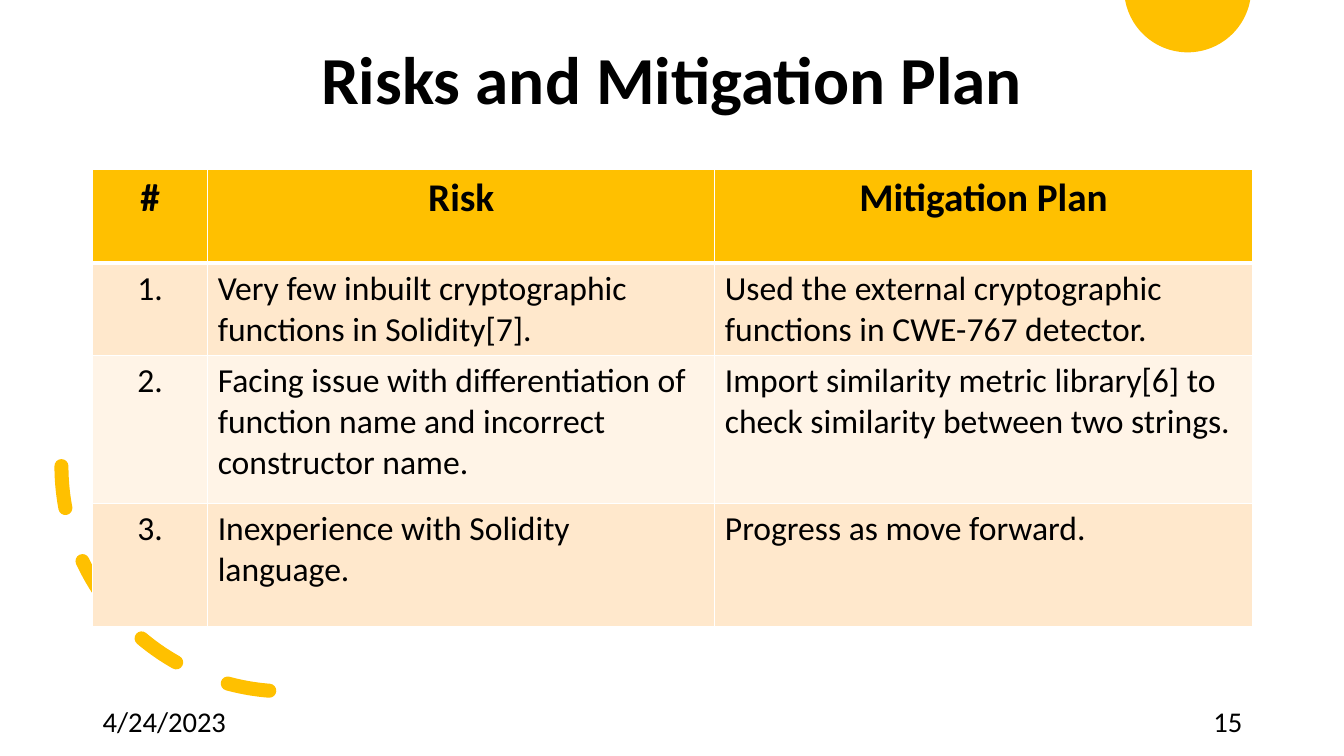
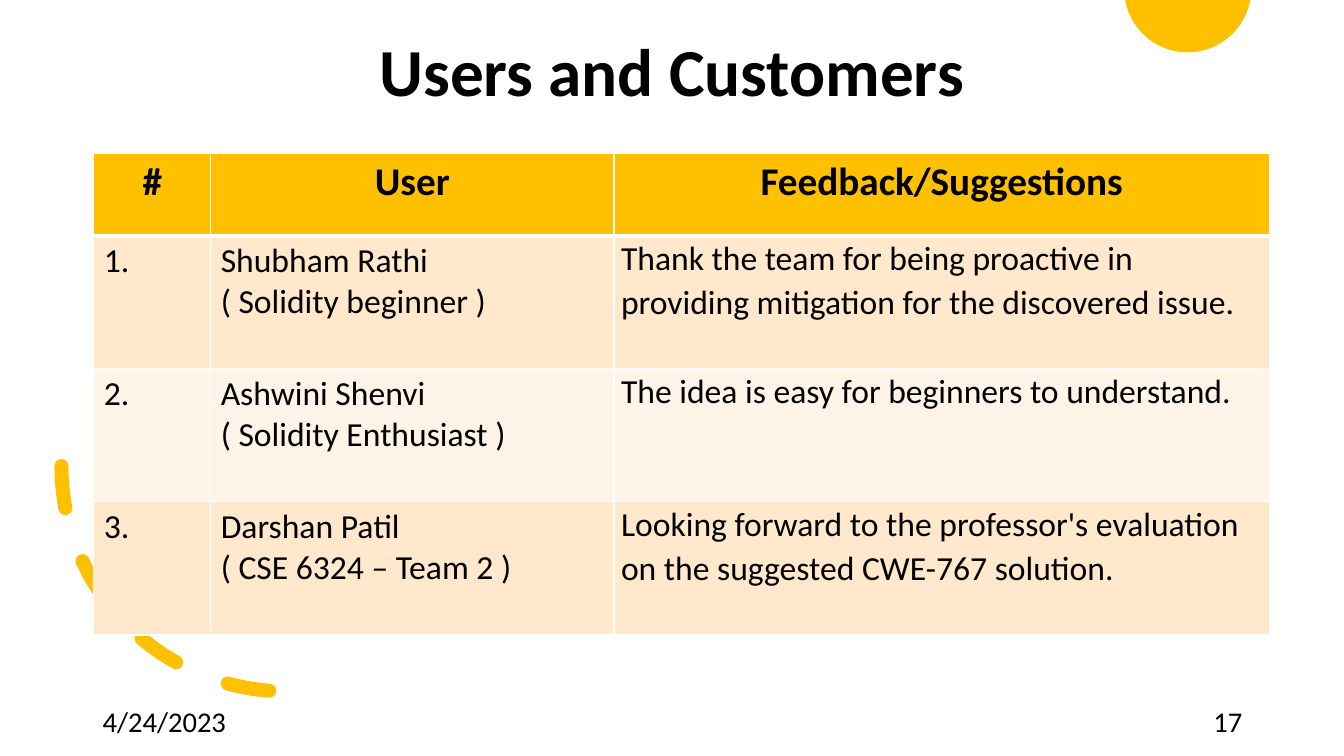
from math import cos, radians, sin

from lxml.etree import SubElement
from pptx import Presentation
from pptx.dml.color import RGBColor
from pptx.enum.dml import MSO_LINE
from pptx.enum.shapes import MSO_SHAPE
from pptx.enum.text import MSO_ANCHOR, PP_ALIGN
from pptx.oxml.ns import qn
from pptx.util import Inches, Pt

GOLD = RGBColor(0xFF, 0xC0, 0x00)
PEACH = RGBColor(0xFF, 0xE8, 0xCC)
CREAM = RGBColor(0xFF, 0xF4, 0xE7)
WHITE = RGBColor(0xFF, 0xFF, 0xFF)
BLACK = RGBColor(0x00, 0x00, 0x00)
FONT = "Calibri"
DATE = "4/24/2023"

SLIDES = [
    {
        "title": "Risks and Mitigation Plan",
        "title_height": 1.64,
        "number": "15",
        "table_at": (0.92, 1.68),
        "columns": [1.14, 5.03, 5.33],
        "rows": [0.93, 0.91, 1.47, 1.22],
        "number_align": PP_ALIGN.CENTER,
        "tight_last_column": False,
        "cells": [
            ["#", "Risk", "Mitigation Plan"],
            ["1.", "Very few inbuilt cryptographic functions in Solidity[7].",
             "Used the external cryptographic functions in CWE-767 detector."],
            ["2.", "Facing issue with differentiation of function name and incorrect constructor name.",
             "Import similarity metric library[6] to check similarity between two strings."],
            ["3.", "Inexperience with Solidity language.", "Progress as move forward."],
        ],
    },
    {
        "title": "Users and Customers",
        "title_height": 1.49,
        "number": "17",
        "table_at": (0.93, 1.52),
        "columns": [1.16, 4, 6.5],
        "rows": [0.82, 1.32, 1.32, 1.32],
        "number_align": PP_ALIGN.LEFT,
        "tight_last_column": True,
        "cells": [
            ["#", "User", "Feedback/Suggestions"],
            ["1.", "Shubham Rathi\n( Solidity beginner )",
             "Thank the team for being proactive in providing mitigation for the discovered issue."],
            ["2.", "Ashwini Shenvi\n( Solidity Enthusiast )",
             "The idea is easy for beginners to understand."],
            ["3.", "Darshan Patil\n( CSE 6324 – Team 2 )",
             "Looking forward to the professor's evaluation on the suggested CWE-767 solution."],
        ],
    },
]


def write_text(frame, text, size=24, bold=False, align=PP_ALIGN.LEFT, line_spacing=None, space_after=None):
    frame.word_wrap = True
    for index, line in enumerate(text.split("\n")):
        paragraph = frame.add_paragraph() if index else frame.paragraphs[0]
        paragraph.alignment = align
        if line_spacing:
            paragraph.line_spacing = line_spacing
        if space_after:
            paragraph.space_after = Pt(space_after)
        run = paragraph.add_run()
        run.text = line
        run.font.name = FONT
        run.font.size = Pt(size)
        run.font.bold = bold
        run.font.color.rgb = BLACK


def set_borders(cell, top, bottom):
    properties = cell._tc.get_or_add_tcPr()
    for tag, width in (("a:lnL", 1), ("a:lnR", 1), ("a:lnT", top), ("a:lnB", bottom)):
        border = SubElement(properties, qn(tag), w=str(Pt(width)))
        SubElement(SubElement(border, qn("a:solidFill")), qn("a:srgbClr"), val=str(WHITE))


presentation = Presentation()
presentation.slide_width = Inches(13.33)
presentation.slide_height = Inches(7.5)
title_only = presentation.slide_layouts[5]

for content in SLIDES:
    slide = presentation.slides.add_slide(title_only)
    shapes = slide.shapes

    title = shapes.title
    title.left, title.top = Inches(0), Inches(0)
    title.width, title.height = Inches(13.33), Inches(content["title_height"])
    title.text_frame.vertical_anchor = MSO_ANCHOR.MIDDLE
    write_text(title.text_frame, content["title"], size=48, bold=True,
               align=PP_ALIGN.CENTER, line_spacing=0.9)

    rim = [(Inches(11.78 + 0.63 * cos(radians(angle))), Inches(-0.11 + 0.63 * sin(radians(angle))))
           for angle in range(10, 171, 2)]
    builder = shapes.build_freeform(*rim[0])
    builder.add_line_segments(rim[1:], close=True)
    sun = builder.convert_to_shape()
    sun.shadow.inherit = False
    sun.fill.solid()
    sun.fill.fore_color.rgb = GOLD
    sun.line.fill.background()

    arc = shapes.add_shape(MSO_SHAPE.ARC, Inches(0.61), Inches(2.39), Inches(4.47), Inches(4.47))
    arc.shadow.inherit = False
    arc.rotation = 90
    arc._element.spPr.xfrm.set("flipV", "1")
    arc.fill.background()
    arc.line.color.rgb = GOLD
    arc.line.width = Pt(10)
    arc.line.dash_style = MSO_LINE.DASH
    arc._element.spPr.find(qn("a:ln")).set("cap", "rnd")

    columns, rows = content["columns"], content["rows"]
    left, top = content["table_at"]
    table = shapes.add_table(len(rows), len(columns), Inches(left), Inches(top),
                             Inches(sum(columns)), Inches(sum(rows))).table
    for column, width in zip(table.columns, columns):
        column.width = Inches(width)
    for row_index, (height, texts) in enumerate(zip(rows, content["cells"])):
        table.rows[row_index].height = Inches(height)
        header = row_index == 0
        for column_index, text in enumerate(texts):
            cell = table.cell(row_index, column_index)
            set_borders(cell, top=3 if row_index == 1 else 1, bottom=3 if header else 1)
            cell.fill.solid()
            cell.fill.fore_color.rgb = GOLD if header else (CREAM, PEACH)[row_index % 2]
            if header:
                write_text(cell.text_frame, text, size=28, bold=True, align=PP_ALIGN.CENTER)
            elif column_index == 2 and content["tight_last_column"]:
                cell.margin_left = cell.margin_right = Inches(0.07)
                cell.margin_top = cell.margin_bottom = Inches(0)
                write_text(cell.text_frame, text, line_spacing=1.07)
            else:
                align = PP_ALIGN.LEFT if column_index else content["number_align"]
                write_text(cell.text_frame, text, align=align)

    for text, left, align in ((DATE, 0.92, PP_ALIGN.LEFT), (content["number"], 9.42, PP_ALIGN.RIGHT)):
        footer = shapes.add_textbox(Inches(left), Inches(6.95), Inches(3), Inches(0.4))
        footer.text_frame.vertical_anchor = MSO_ANCHOR.MIDDLE
        write_text(footer.text_frame, text, size=20.4, align=align, space_after=6)

presentation.save("out.pptx")
